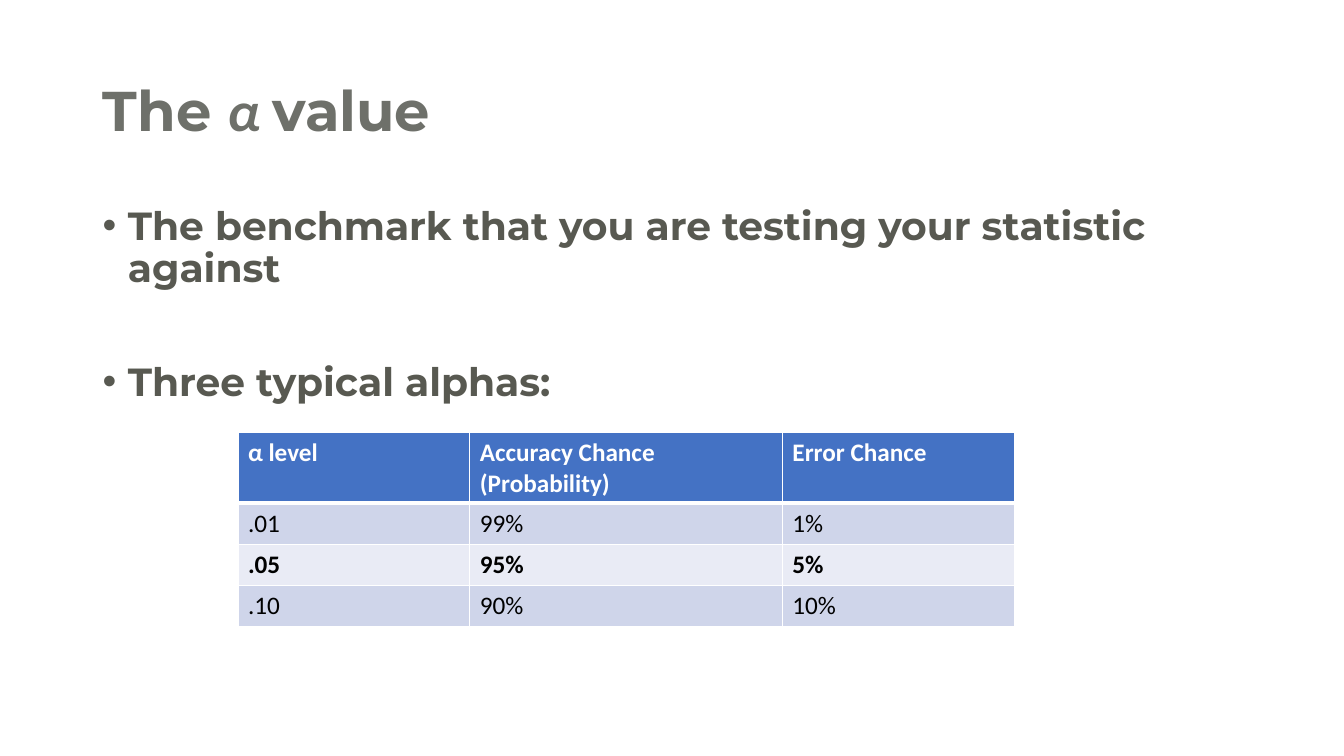
from dataclasses import dataclass

from lxml import etree
from pptx import Presentation
from pptx import util as u
from pptx.dml.color import RGBColor
from pptx.enum import text as t
from pptx.oxml import ns

PX = 9144  # EMU per px, 100 px to the inch

TITLE_GREY = RGBColor(0x6E, 0x70, 0x6A)
BODY_GREY = RGBColor(0x58, 0x59, 0x51)
WHITE = RGBColor(0xFF, 0xFF, 0xFF)
BLACK = RGBColor(0x00, 0x00, 0x00)
HEADER_BLUE = RGBColor(0x44, 0x72, 0xC4)
BAND_DARK = RGBColor(0xCF, 0xD5, 0xEA)
BAND_LIGHT = RGBColor(0xE9, 0xEB, 0xF5)

HEADING_FONT = "Montserrat"
TABLE_FONT = "Calibri"


@dataclass(frozen=True)
class Bullet:
    text: str
    space_before: int


@dataclass(frozen=True)
class AlphaRow:
    texts: tuple[str, str, str]
    height: int
    fill: RGBColor
    color: RGBColor = BLACK
    bold: bool = False
    top_line: int = 1
    bottom_line: int = 1


BULLETS = (
    Bullet("The benchmark that you are testing your statistic against", 0),
    Bullet("Three typical alphas:", 51),
)
COLUMN_WIDTHS = (230, 310, 230)
ALPHA_ROWS = (
    AlphaRow(("α level", "Accuracy Chance\n(Probability)", "Error Chance"),
             69, HEADER_BLUE, WHITE, bold=True, bottom_line=3),
    AlphaRow((".01", "99%", "1%"), 41, BAND_DARK, top_line=3),
    AlphaRow((".05", "95%", "5%"), 41, BAND_LIGHT, bold=True),
    AlphaRow((".10", "90%", "10%"), 41, BAND_DARK),
)


def add_text(paragraph, text: str, *, font: str, size: int, color: RGBColor,
             bold: bool = False, italic: bool = False) -> None:
    run = paragraph.add_run()
    run.text = text
    run.font.name = font
    run.font.size = u.Pt(size)
    run.font.color.rgb = color
    run.font.bold = bold
    run.font.italic = italic


def add_box(slide, left: int, top: int, width: int, height: int, anchor):
    shape = slide.shapes.add_textbox(left * PX, top * PX, width * PX, height * PX)
    frame = shape.text_frame
    frame.word_wrap = True
    frame.vertical_anchor = anchor
    return frame


def next_paragraph(frame, index: int):
    return frame.add_paragraph() if index else frame.paragraphs[0]


def set_bullet(paragraph, indent: int) -> None:
    properties = paragraph._p.get_or_add_pPr()
    properties.set("marL", str(indent * PX))
    properties.set("indent", str(-indent * PX))
    etree.SubElement(properties, ns.qn("a:buFont"), typeface="Arial")
    etree.SubElement(properties, ns.qn("a:buChar"), char="•")


def set_borders(cell, top: int, bottom: int) -> None:
    properties = cell._tc.get_or_add_tcPr()
    sides = (("L", 1), ("R", 1), ("T", top), ("B", bottom))
    for position, (side, width) in enumerate(sides):
        line = etree.Element(ns.qn(f"a:ln{side}"), w=str(u.Pt(width)))
        fill = etree.SubElement(line, ns.qn("a:solidFill"))
        etree.SubElement(fill, ns.qn("a:srgbClr"), val=str(WHITE))
        properties.insert(position, line)


def draw_title(slide) -> None:
    frame = add_box(slide, 92, 40, 1150, 145, t.MSO_ANCHOR.MIDDLE)
    paragraph = frame.paragraphs[0]
    paragraph.line_spacing = 0.9
    for text, font, italic in (("The ", HEADING_FONT, False),
                               ("α ", TABLE_FONT, True),
                               ("value", HEADING_FONT, False)):
        add_text(paragraph, text, font=font, size=40, color=TITLE_GREY,
                 bold=True, italic=italic)


def draw_bullets(slide) -> None:
    frame = add_box(slide, 92, 200, 1150, 175, t.MSO_ANCHOR.TOP)
    for index, bullet in enumerate(BULLETS):
        paragraph = next_paragraph(frame, index)
        set_bullet(paragraph, 25)
        paragraph.line_spacing = 0.9
        paragraph.space_before = u.Pt(bullet.space_before)
        add_text(paragraph, bullet.text, font=HEADING_FONT, size=28,
                 color=BODY_GREY, bold=True)


def draw_table(slide) -> None:
    height = sum(row.height for row in ALPHA_ROWS)
    table = slide.shapes.add_table(
        len(ALPHA_ROWS), len(COLUMN_WIDTHS),
        236 * PX, 429 * PX, sum(COLUMN_WIDTHS) * PX, height * PX).table
    table.horz_banding = False
    for column, width in zip(table.columns, COLUMN_WIDTHS):
        column.width = width * PX
    for table_row, row in zip(table.rows, ALPHA_ROWS):
        table_row.height = row.height * PX
        for cell, text in zip(table_row.cells, row.texts):
            cell.fill.solid()
            cell.fill.fore_color.rgb = row.fill
            set_borders(cell, row.top_line, row.bottom_line)
            for index, line in enumerate(text.split("\n")):
                add_text(next_paragraph(cell.text_frame, index), line,
                         font=TABLE_FONT, size=18, color=row.color, bold=row.bold)


def main() -> None:
    presentation = Presentation()
    presentation.slide_width = 1333 * PX
    presentation.slide_height = 750 * PX
    slide = presentation.slides.add_slide(presentation.slide_layouts[6])
    # Heading and bullets
    draw_title(slide)
    draw_bullets(slide)
    # Alpha levels
    draw_table(slide)
    presentation.save("out.pptx")


if __name__ == "__main__":
    main()
